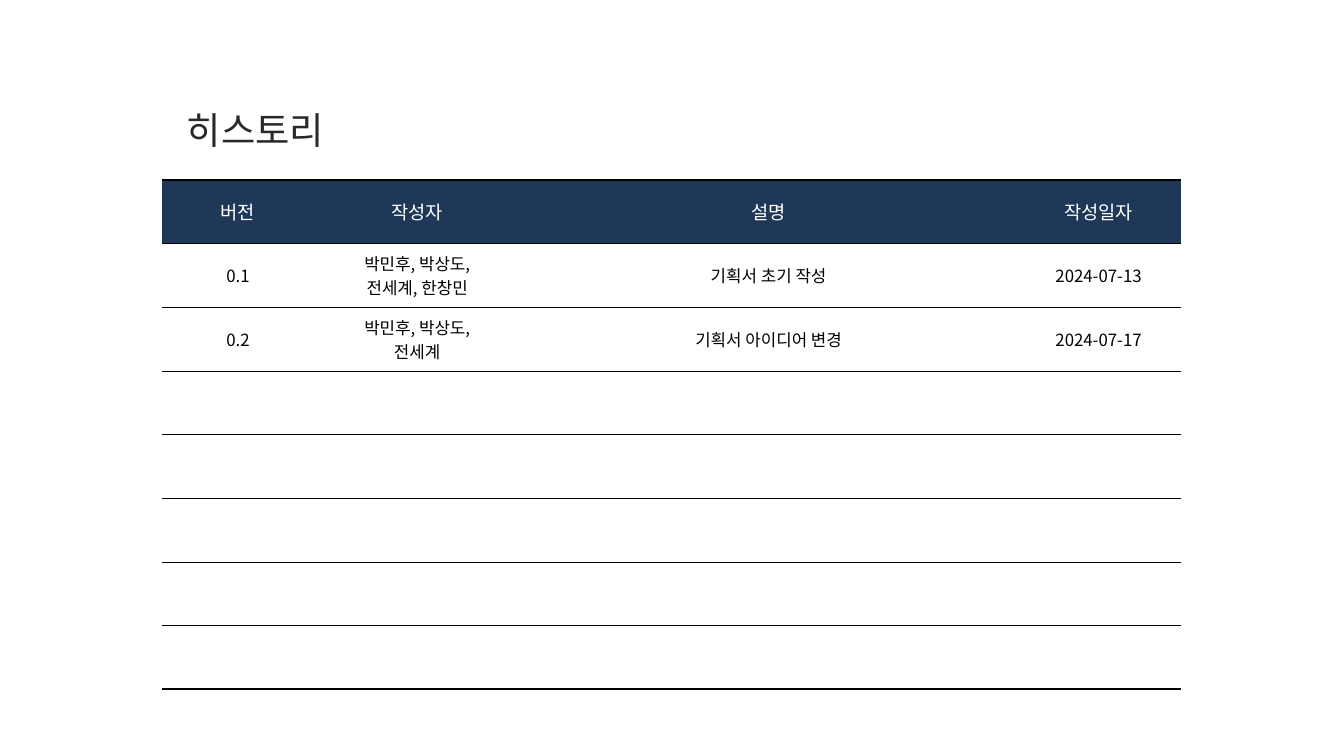
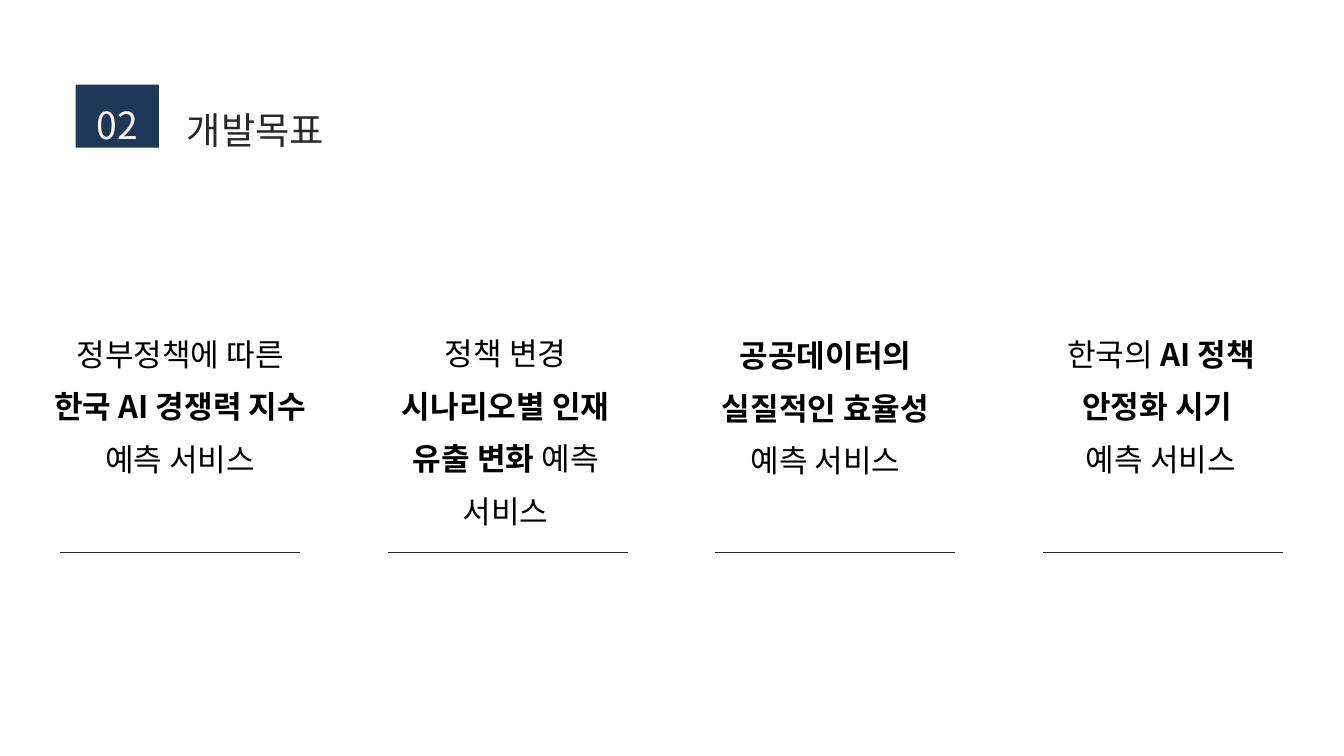
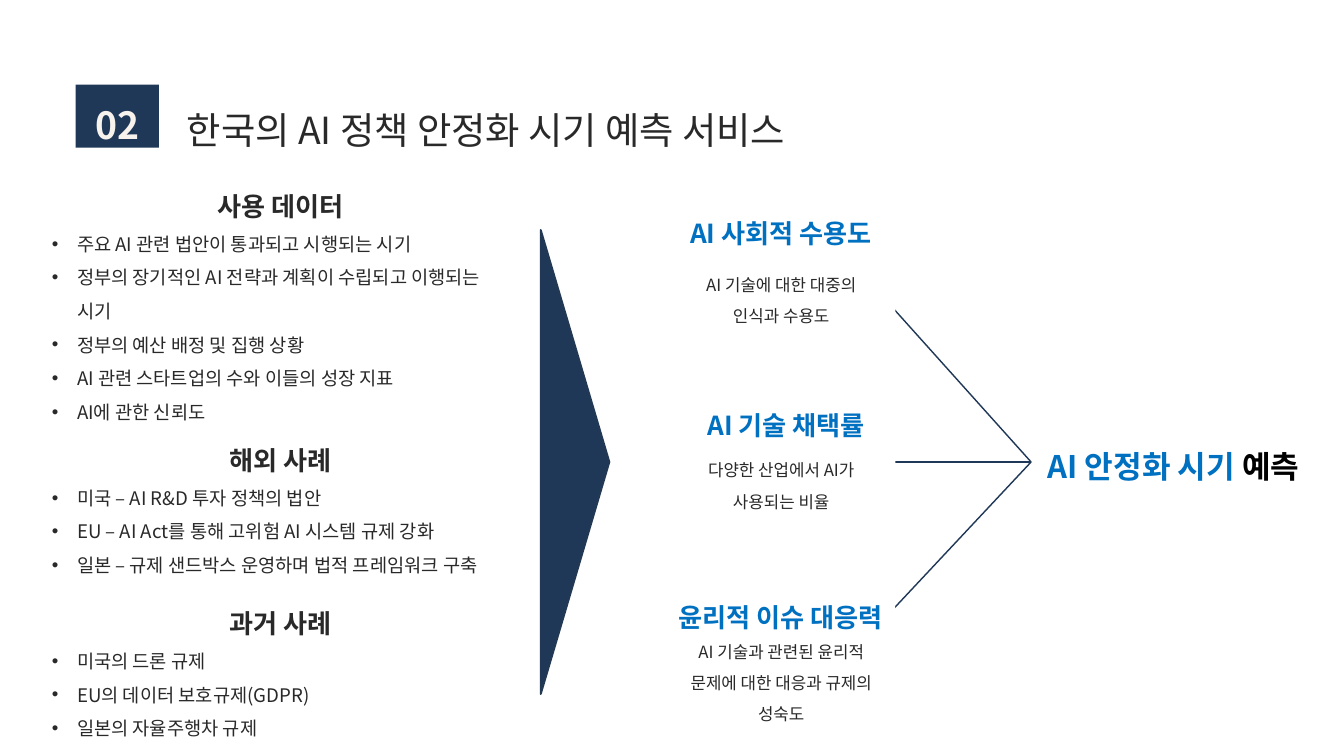
from lxml.etree import SubElement
from pptx import Presentation
from pptx.dml.color import RGBColor
from pptx.enum.shapes import MSO_CONNECTOR, MSO_SHAPE
from pptx.enum.text import MSO_ANCHOR, MSO_AUTO_SIZE, PP_ALIGN
from pptx.oxml import parse_xml
from pptx.oxml.ns import nsdecls, qn
from pptx.util import Pt

PX = 9525
FONT = "Noto Sans CJK KR"
NAVY, NAVY_EDGE, BLUE = "203858", "233953", "0070C0"
INK, BLACK, WHITE, CREAM = "292929", "000000", "FFFFFF", "F7F2EC"
BULLET_INDENT = 36

HISTORY = [
    ("버전", "작성자", "설명", "작성일자"),
    ("0.1", "박민후, 박상도,\n전세계, 한창민", "기획서 초기 작성", "2024-07-13"),
    ("0.2", "박민후, 박상도,\n전세계", "기획서 아이디어 변경", "2024-07-17"),
]
HISTORY_COLUMNS = (216, 296, 708, 235)
HISTORY_ROWS, HISTORY_ROW_HEIGHT = 8, 91

# box, then (text, bold) runs
GOALS = [
    ((77, 457, 361, 218), [("정부정책에 따른 ", False), ("한국 AI 경쟁력 지수 ", True),
                           ("예측 서비스", False)]),
    ((565, 456, 315, 294), [("정책 변경 ", False), ("시나리오별 인재 유출 변화 ", True),
                            ("예측 서비스", False)]),
    ((1022, 459, 315, 218), [("공공데이터의 실질적인 효율성 ", True), ("예측 서비스", False)]),
    ((1501, 457, 315, 218), [("한국의 ", False), ("AI 정책 안정화 시기 \n", True),
                             ("예측 서비스", False)]),
]

# top, height, heading, items
EVIDENCE = [
    (249, 353, "사용 데이터", [
        "주요 AI 관련 법안이 통과되고 시행되는 시기",
        "정부의 장기적인 AI 전략과 계획이 수립되고 이행되는 시기",
        "정부의 예산 배정 및 집행 상황",
        "AI 관련 스타트업의 수와 이들의 성장 지표",
        "AI에 관한 신뢰도"]),
    (612, 207, "해외 사례", [
        "미국 – AI R&D 투자 정책의 법안",
        "EU – AI Act를 통해 고위험 AI 시스템 규제 강화",
        "일본 – 규제 샌드박스 운영하며 법적 프레임워크 구축"]),
    (845, 207, "과거 사례", [
        "미국의 드론 규제",
        "EU의 데이터 보호규제(GDPR)",
        "일본의 자율주행차 규제"]),
]

# card top, connector start, heading and its box, description and its box
FACTORS = [
    (258, 378, "AI 사회적 수용도", (962, 280, 307, 67),
     "AI 기술에 대한 대중의 인식과 수용도", (991, 376, 250, 86)),
    (536, 660, "AI 기술 채택률", (984, 555, 278, 67),
     "다양한 산업에서 AI가 사용되는 비율", (1002, 641, 228, 86)),
    (806, 930, "윤리적 이슈 대응력", (962, 829, 307, 65),
     "AI 기술과 관련된 윤리적 문제에 대한 대응과 규제의 성숙도", (986, 900, 260, 132)),
]


def px(*lengths):
    return [length * PX for length in lengths]


def rgb(value):
    return RGBColor.from_string(value)


def write(paragraph, *runs, size, color=INK, bold=False, align=PP_ALIGN.LEFT,
          spacing=None, bullet=False):
    """Fill a paragraph; a run is a string or (text, format overrides)."""
    paragraph.alignment = align
    paragraph.space_before = paragraph.space_after = Pt(0)
    if spacing:
        paragraph.line_spacing = spacing
    properties = paragraph._p.get_or_add_pPr()
    indent = BULLET_INDENT * PX if bullet else 0
    properties.set("marL", str(indent))
    properties.set("indent", str(-indent))
    if bullet:
        SubElement(properties, qn("a:buFont"), typeface="Arial")
        SubElement(properties, qn("a:buChar"), char="•")
    else:
        SubElement(properties, qn("a:buNone"))
    for run in runs:
        text, changes = (run, {}) if isinstance(run, str) else run
        for number, line in enumerate(text.split("\n")):
            if number:
                paragraph.add_line_break()
            if line:
                piece = paragraph.add_run()
                piece.text = line
                font = piece.font
                font.size = Pt(size)
                font.bold = changes.get("bold", bold)
                font.color.rgb = rgb(changes.get("color", color))
                font.name = FONT
                SubElement(piece._r.get_or_add_rPr(), qn("a:ea"), typeface=FONT)


def prepare_frame(shape):
    frame = shape.text_frame
    frame.word_wrap = True
    frame.auto_size = MSO_AUTO_SIZE.SHAPE_TO_FIT_TEXT
    frame.vertical_anchor = MSO_ANCHOR.TOP
    frame.margin_left = frame.margin_top = frame.margin_right = frame.margin_bottom = 0
    return frame


def move(shape, left, top, width, height):
    shape.left, shape.top, shape.width, shape.height = px(left, top, width, height)


def add_text(slide, box, *runs, **style):
    frame = prepare_frame(slide.shapes.add_textbox(*px(*box)))
    write(frame.paragraphs[0], *runs, **{"align": PP_ALIGN.CENTER, **style})


def set_title(slide, text, width):
    title = slide.shapes.title
    move(title, 267, 113, width, 95)
    write(prepare_frame(title).paragraphs[0], text, size=40, spacing=Pt(77.9))


def add_block(slide, kind, box, fill, edge=None):
    block = slide.shapes.add_shape(kind, *px(*box))
    block.shadow.inherit = False
    block.fill.solid()
    block.fill.fore_color.rgb = rgb(fill)
    if edge:
        block.line.color.rgb = rgb(edge)
        block.line.width = Pt(2)
    else:
        block.line.fill.background()
    return block


def add_card(slide, box, rounding):
    add_block(slide, MSO_SHAPE.ROUNDED_RECTANGLE, box, WHITE).adjustments[0] = rounding


def add_line(slide, start, end, color, width):
    line = slide.shapes.add_connector(MSO_CONNECTOR.STRAIGHT, *px(*start, *end))
    line.line.color.rgb = rgb(color)
    line.line.width = Pt(width)
    SubElement(line._element.spPr, qn("a:effectLst"))


def add_section_number(slide, number, bold=False):
    add_block(slide, MSO_SHAPE.RECTANGLE, (108, 121, 119, 90), NAVY)
    add_text(slide, (117, 121, 101, 82), number, size=40, color=CREAM, bold=bold,
             spacing=Pt(66.9))


def set_borders(cell, top, bottom):
    """Rule a cell above and below, and leave its sides open."""
    properties = cell._tc.get_or_add_tcPr()
    for place, (side, width) in enumerate(zip("LRTB", (0, 0, top, bottom))):
        paint = (f'<a:solidFill><a:srgbClr val="{BLACK}"/></a:solidFill>'
                 if width else "<a:noFill/>")
        properties.insert(place, parse_xml(
            f'<a:ln{side} {nsdecls("a")} w="{Pt(width)}">{paint}</a:ln{side}>'))


def add_history_table(slide, left, top):
    table = slide.shapes.add_table(
        HISTORY_ROWS, len(HISTORY_COLUMNS),
        *px(left, top, sum(HISTORY_COLUMNS), HISTORY_ROWS * HISTORY_ROW_HEIGHT)).table
    table.first_row = table.horz_banding = False
    for column, width in zip(table.columns, HISTORY_COLUMNS):
        column.width = width * PX
    rules = [2.25, 2.25] + [1] * (HISTORY_ROWS - 2) + [2.25]
    for r, row in enumerate(table.rows):
        row.height = HISTORY_ROW_HEIGHT * PX
        for c, cell in enumerate(row.cells):
            cell.vertical_anchor = MSO_ANCHOR.MIDDLE
            if r == 0:
                cell.fill.solid()
                cell.fill.fore_color.rgb = rgb(NAVY)
            else:
                cell.fill.background()
            set_borders(cell, rules[r], rules[r + 1])
            if r < len(HISTORY):
                write(cell.text_frame.paragraphs[0], HISTORY[r][c],
                      size=18 if r else 20, color=BLACK if r else WHITE,
                      align=PP_ALIGN.CENTER)


def fill_evidence(placeholder, top, height, heading, items):
    move(placeholder, 74, top, 653, height)
    frame = prepare_frame(placeholder)
    write(frame.paragraphs[0], heading, size=28, bold=True,
          align=PP_ALIGN.CENTER, spacing=1.5)
    for item in items:
        write(frame.add_paragraph(), item, size=20, spacing=1.5, bullet=True)


def build_history(slide):
    set_title(slide, "히스토리", 213)
    add_history_table(slide, 232, 257)


def build_goals(slide):
    set_title(slide, "개발목표", 213)
    for column, (box, runs) in enumerate(GOALS):
        shift = 468 * column
        if column:
            add_card(slide, (48 + shift, 418, 413, 657), 0.05)
        add_line(slide, (86 + shift, 789), (429 + shift, 789), INK, 0.75)
        add_text(slide, box, *[(text, {"bold": bold}) for text, bold in runs],
                 size=33.3, color=BLACK, spacing=Pt(56.3))
    add_section_number(slide, "02")


def build_forecast(slide):
    set_title(slide, "한국의 AI 정책 안정화 시기 예측 서비스", 917)
    bodies = [p for p in slide.placeholders if p.placeholder_format.idx in (1, 2, 3, 4)]
    for body, evidence in zip(bodies, EVIDENCE):
        fill_evidence(body, *evidence)
    for unused in bodies[len(EVIDENCE):]:
        unused._element.getparent().remove(unused._element)

    add_text(slide, (1490, 617, 373, 67), "AI 안정화 시기 ", ("예측", {"color": BLACK}),
             size=33.3, color=BLUE, bold=True, spacing=Pt(56.3))
    flow = add_block(slide, MSO_SHAPE.ISOSCELES_TRIANGLE, (490, 611, 663, 98),
                     NAVY, NAVY_EDGE)
    flow.rotation = 90
    for card_top, start, heading, heading_box, description, description_box in FACTORS:
        add_line(slide, (1220, start), (1473, 660), NAVY, 1.5)
        add_card(slide, (951, card_top, 328, 248), 0.15)
        add_text(slide, heading_box, heading, size=28, color=BLUE, bold=True,
                 spacing=Pt(56.3))
        add_text(slide, description_box, description, size=18, spacing=Pt(33.6))
    add_section_number(slide, "02", bold=True)


def main():
    deck = Presentation()
    deck.slide_width, deck.slide_height = px(1920, 1080)
    title_only = deck.slide_layouts.get_by_name("Title Only")
    comparison = deck.slide_layouts.get_by_name("Comparison")
    build_history(deck.slides.add_slide(title_only))
    build_goals(deck.slides.add_slide(title_only))
    build_forecast(deck.slides.add_slide(comparison))
    deck.save("out.pptx")


if __name__ == "__main__":
    main()
